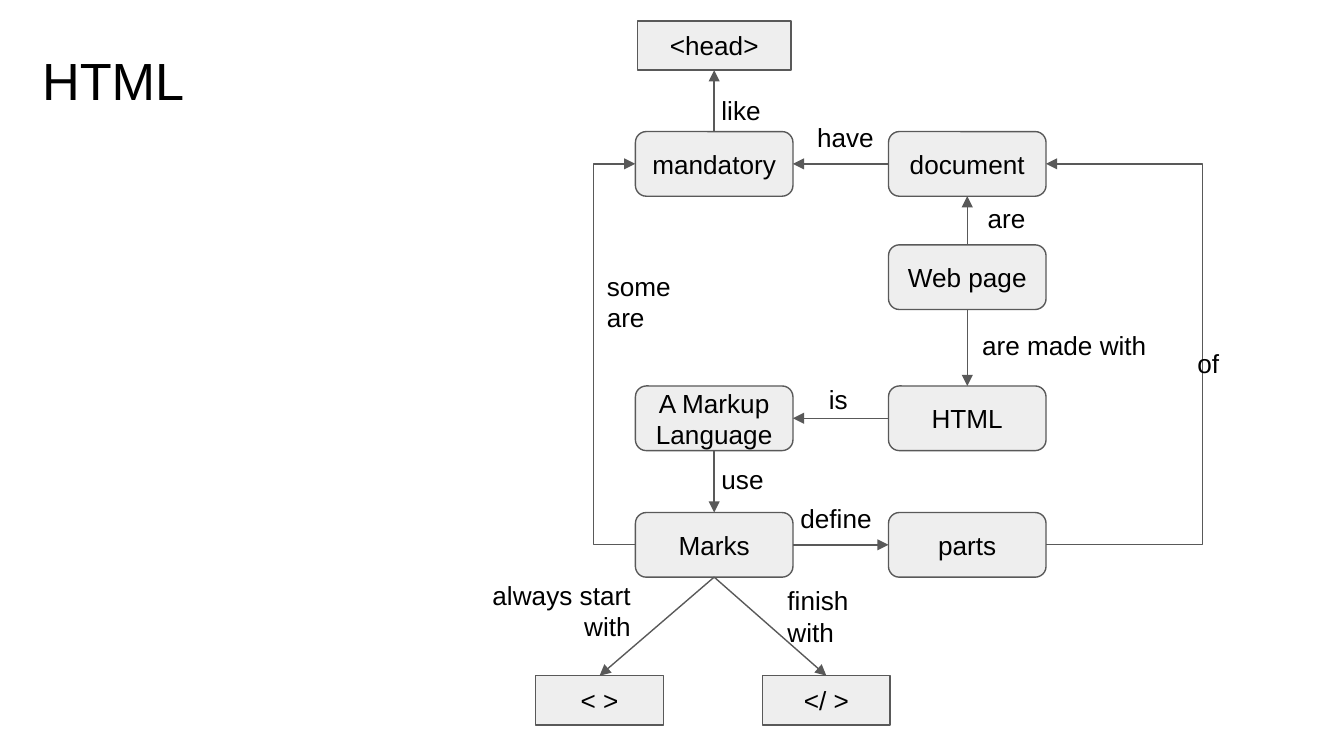
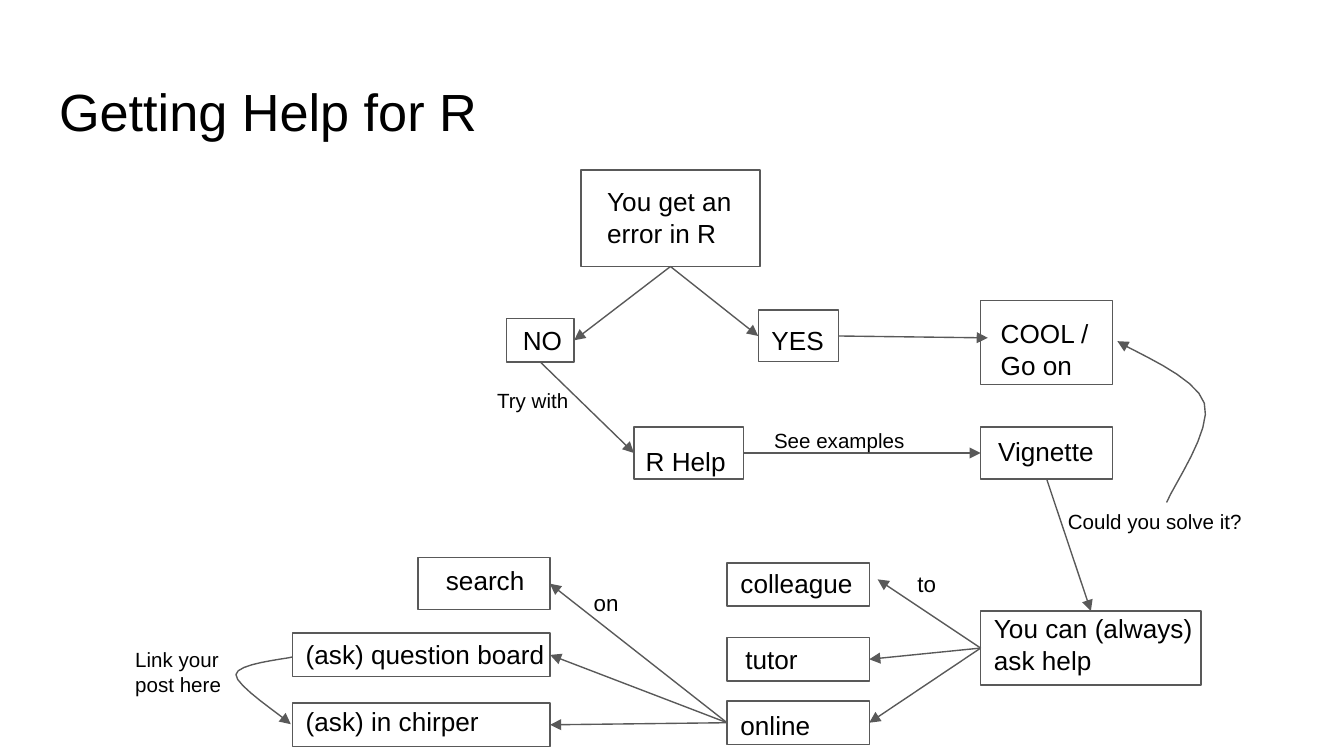
from lxml.etree import SubElement
from pptx import Presentation
from pptx.dml.color import RGBColor
from pptx.enum.shapes import MSO_CONNECTOR, MSO_SHAPE
from pptx.enum.text import MSO_ANCHOR, MSO_AUTO_SIZE, PP_ALIGN
from pptx.oxml.ns import qn
from pptx.util import Pt

TOP, LEFT, BOTTOM, RIGHT = range(4)


class Deck:
    FONT = "Arial"
    COLORS = {"text": "000000", "line": "595959", "node": "EEEEEE"}
    TITLE_SIZE, TEXT_SIZE = 28, 14
    INSET = 7.2
    LINE_WIDTH = 0.75
    CURVE_STEPS = 8

    def __init__(self):
        self.prs = Presentation()
        self.prs.slide_width, self.prs.slide_height = Pt(720), Pt(405)
        self.slide = None

    def color(self, name):
        return RGBColor.from_string(self.COLORS[name])

    def new_slide(self, title, left, top, width):
        self.slide = self.prs.slides.add_slide(self.prs.slide_layouts[5])
        holder = self.slide.shapes.title
        holder.left, holder.top = Pt(left), Pt(top)
        holder.width, holder.height = Pt(width), Pt(45)
        self.set_text(holder, title, self.TITLE_SIZE)

    def set_text(self, shape, text, size=TEXT_SIZE, align=PP_ALIGN.LEFT,
                 anchor=MSO_ANCHOR.TOP):
        frame = shape.text_frame
        frame.word_wrap = True
        frame.auto_size = MSO_AUTO_SIZE.NONE
        frame.vertical_anchor = anchor
        frame.margin_left = frame.margin_right = Pt(self.INSET)
        frame.margin_top = frame.margin_bottom = Pt(self.INSET)
        paragraph = frame.paragraphs[0]
        paragraph.alignment = align
        run = paragraph.add_run()
        run.text = text
        run.font.name = self.FONT
        run.font.size = Pt(size)
        run.font.color.rgb = self.color("text")

    def label(self, text, left, top, width, height=21.6, size=TEXT_SIZE,
              align=PP_ALIGN.LEFT):
        box = self.slide.shapes.add_textbox(Pt(left), Pt(top), Pt(width), Pt(height))
        self.set_text(box, text, size, align)

    def outline(self, shape):
        shape.line.color.rgb = self.color("line")
        shape.line.width = Pt(self.LINE_WIDTH)

    def frame(self, left, top, width, height, kind=MSO_SHAPE.RECTANGLE):
        """Draw an unfilled outlined box."""
        box = self.slide.shapes.add_shape(
            kind, Pt(left), Pt(top), Pt(width), Pt(height))
        box.shadow.inherit = False
        box.fill.background()
        self.outline(box)
        return box

    def node(self, text, left, top, width, height, kind=MSO_SHAPE.RECTANGLE):
        """Draw a filled box with its text centred."""
        box = self.frame(left, top, width, height, kind)
        box.fill.solid()
        box.fill.fore_color.rgb = self.color("node")
        self.set_text(box, text, align=PP_ALIGN.CENTER, anchor=MSO_ANCHOR.MIDDLE)
        return box

    def arrowhead(self, shape):
        line = shape.element.spPr.find(qn("a:ln"))
        SubElement(line, qn("a:tailEnd"), type="triangle")

    def arrow(self, start, start_side, end, end_side=None):
        """Link two boxes; without an end side, end is an (x, y) point."""
        x, y = (0, 0) if end_side is not None else end
        link = self.slide.shapes.add_connector(
            MSO_CONNECTOR.STRAIGHT, Pt(0), Pt(0), Pt(x), Pt(y))
        link.begin_connect(start, start_side)
        if end_side is not None:
            link.end_connect(end, end_side)
        self.outline(link)
        self.arrowhead(link)
        SubElement(link.element.spPr, qn("a:effectLst"))

    def route(self, points):
        """Draw an open arrow through the points."""
        start, *rest = [(Pt(x), Pt(y)) for x, y in points]
        builder = self.slide.shapes.build_freeform(*start)
        builder.add_line_segments(rest, close=False)
        trail = builder.convert_to_shape()
        trail.shadow.inherit = False
        trail.fill.background()
        self.outline(trail)
        self.arrowhead(trail)

    def curve(self, start, *segments):
        """Draw an arrow along cubic segments (control, control, end)."""
        points = [start]
        for first, second, end in segments:
            corners = (points[-1], first, second, end)
            for step in range(1, self.CURVE_STEPS + 1):
                t = step / self.CURVE_STEPS
                weights = ((1 - t) ** 3, 3 * t * (1 - t) ** 2,
                           3 * t ** 2 * (1 - t), t ** 3)
                points.append(tuple(
                    sum(w * corner[axis] for w, corner in zip(weights, corners))
                    for axis in (0, 1)))
        self.route(points)


def html_slide(deck):
    deck.new_slide("HTML", 15.4, 18.7, 218)

    middle, right = 340.4, 476
    width, height = 84.4, 34.6
    document_row, page_row, html_row, marks_row = 70.5, 131.2, 206.8, 274.6

    def concept(text, left, top):
        return deck.node(text, left, top, width, height, MSO_SHAPE.ROUNDED_RECTANGLE)

    html = concept("HTML", right, html_row)
    language = concept("A Markup Language", middle, html_row)
    marks = concept("Marks", middle, marks_row)
    parts = concept("parts", right, marks_row)
    page = concept("Web page", right, page_row)
    document = concept("document", right, document_row)
    mandatory = concept("mandatory", middle, document_row)
    opening = deck.node("< >", 287, 362, 68.4, 26.4)
    closing = deck.node("</ >", 408.5, 362, 68.4, 26.4)
    head = deck.node("<head>", 341.4, 11.2, 82.4, 26.4)

    for link in (
        (page, TOP, document, BOTTOM),
        (page, BOTTOM, html, TOP),
        (html, LEFT, language, RIGHT),
        (language, BOTTOM, marks, TOP),
        (marks, RIGHT, parts, LEFT),
        (marks, BOTTOM, opening, TOP),
        (marks, BOTTOM, closing, TOP),
        (document, LEFT, mandatory, RIGHT),
        (mandatory, TOP, head, BOTTOM),
    ):
        deck.arrow(*link)

    marks_y, document_y = marks_row + height / 2, document_row + height / 2
    for edge, bend in ((middle, 318), (right + width, 644.3)):
        deck.route([(edge, marks_y), (bend, marks_y),
                    (bend, document_y), (edge, document_y)])

    for text, left, top, label_width in (
        ("have", 430.6, 57.6, 46),
        ("are", 522, 101.4, 46),
        ("are made with", 519, 169.2, 104),
        ("is", 437, 198, 27),
        ("define", 421.7, 262.2, 55.4),
        ("use", 379.4, 241.2, 46),
        ("some are", 318, 137.6, 55.4),
        ("finish with", 414.8, 306, 55.4),
        ("like", 379.4, 43.4, 46),
        ("of", 634.4, 178.8, 46),
    ):
        deck.label(text, left, top, label_width)
    deck.label("always start with", 255, 303.2, 90, align=PP_ALIGN.RIGHT)


def help_slide(deck):
    deck.new_slide("Getting Help for R", 24.5, 35, 671)

    error = deck.frame(311.2, 91.2, 96, 51.6)
    no = deck.frame(271.4, 170.6, 36.2, 23.4)
    yes = deck.frame(406.2, 166.2, 43, 27.6)
    r_help = deck.frame(339.6, 228.8, 58.8, 27.8)

    outcome_left, outcome_width = 525.4, 70.6
    deck.frame(outcome_left, 161, outcome_width, 45)
    vignette = deck.frame(outcome_left, 228.8, outcome_width, 27.8)
    ask_help = deck.frame(outcome_left, 327.4, 118, 39.6)

    _, tutor, online = [deck.frame(389.5, top, 76.2, 23.2)
                        for top in (301.6, 341.6, 375.6)]
    search = deck.frame(224, 298.8, 70.6, 27.8)
    forum, social = [deck.frame(156.7, top, 138, 23.4) for top in (339.2, 376.6)]

    for link in (
        (error, BOTTOM, yes, LEFT),
        (error, BOTTOM, no, RIGHT),
        (no, BOTTOM, r_help, LEFT),
        (yes, RIGHT, (529.2, 181)),
        (r_help, RIGHT, vignette, LEFT),
        (vignette, BOTTOM, ask_help, TOP),
        (ask_help, LEFT, (470.2, 310.4)),
        (ask_help, LEFT, tutor, RIGHT),
        (ask_help, LEFT, online, RIGHT),
        (online, LEFT, search, RIGHT),
        (online, LEFT, forum, RIGHT),
        (online, LEFT, social, RIGHT),
    ):
        deck.arrow(*link)

    deck.curve((156.7, 352),
               ((152, 353.2), (126.8, 355.6), (126.4, 361.4)),
               ((126, 367.2), (151.2, 383.6), (155.8, 388)))
    deck.curve((625, 269.2),
               ((628.6, 260), (649.6, 230.4), (645.2, 216)),
               ((640.8, 201.6), (606.2, 188), (598.6, 182.8)))

    for text, left, top, width, height in (
        ("You get an error in R", 318.2, 92.2, 107.4, 62),
        ("YES", 406.2, 166.4, 59, 36),
        ("NO", 273, 166.4, 59, 36),
        ("COOL / Go on", 529, 163, 70.6, 36),
        ("R Help", 338.8, 231.2, 59, 36),
        ("Vignette", 527.6, 226.2, 67, 39.6),
        ("colleague", 389.6, 296.8, 80.6, 28),
        ("tutor", 392.2, 337.4, 70.6, 18),
        ("online", 389.6, 372.8, 76.2, 18),
        ("You can (always) ask help", 525.4, 321, 127.4, 39.6),
        ("search", 231.8, 295.2, 80, 23),
        ("(ask) question board", 156.7, 334.8, 146.2, 23),
        ("(ask) in chirper", 156.7, 370.8, 146.2, 23),
    ):
        deck.label(text, left, top, width, height)

    for text, left, top, width, height, size in (
        ("See examples", 407.6, 222, 100, 36, 11),
        ("Try with", 259.2, 200.4, 100, 36, 11),
        ("Link your post here", 65.4, 339.4, 76.2, 45, 11),
        ("Could you solve it?", 565, 265.6, 126.6, 36, 11),
        ("to", 484.4, 298.2, 36, 28, 12),
        ("on", 311, 308.2, 36, 28, 12),
    ):
        deck.label(text, left, top, width, height, size)


def main():
    deck = Deck()
    html_slide(deck)
    help_slide(deck)
    deck.prs.save("out.pptx")


if __name__ == "__main__":
    main()
